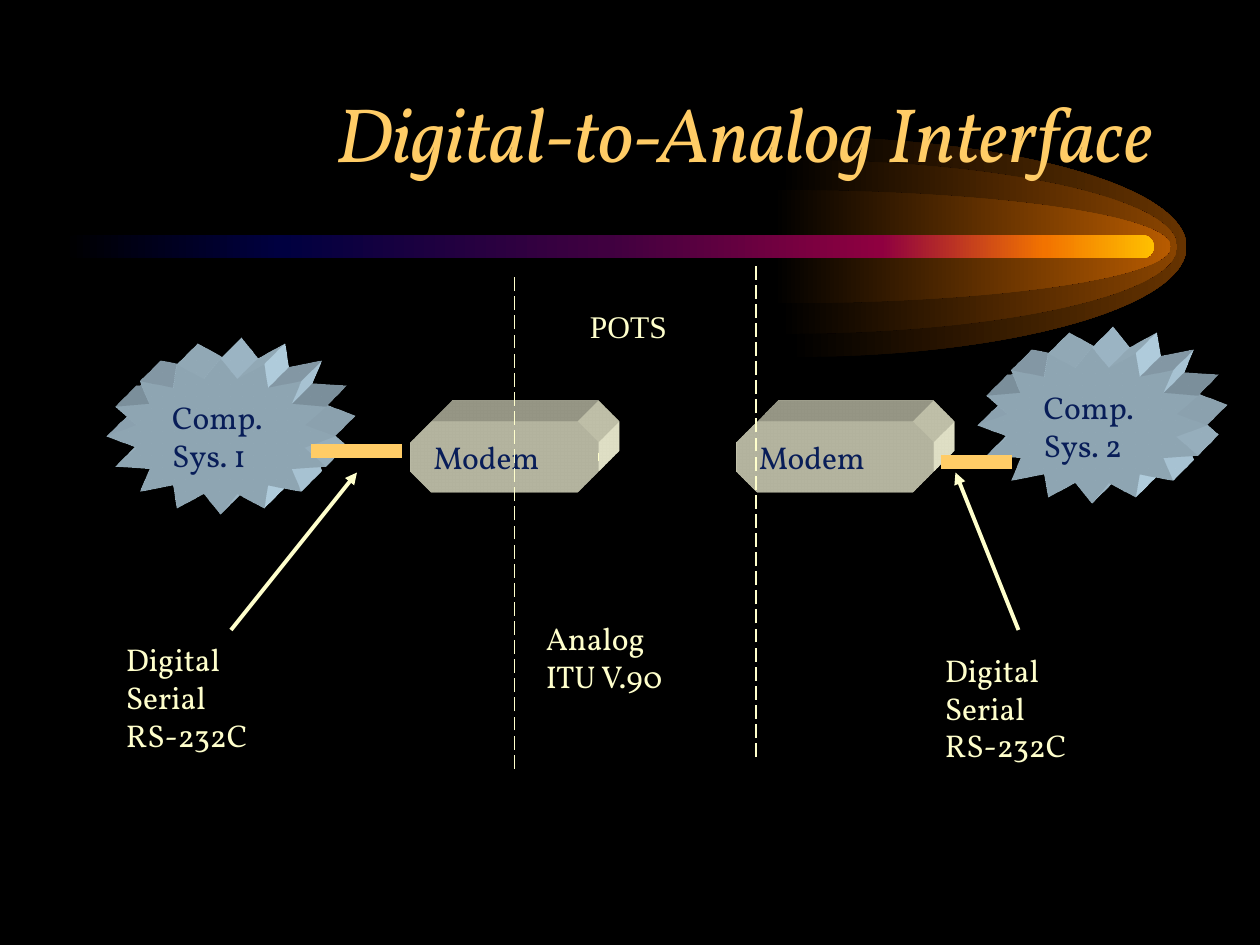
import pptx
import pptx.dml.color
import pptx.enum.dml
import pptx.enum.shapes
import pptx.enum.text
import pptx.oxml
import pptx.oxml.ns
import pptx.util

RGBColor = pptx.dml.color.RGBColor
SHAPES = pptx.enum.shapes.MSO_SHAPE
ALIGN = pptx.enum.text.PP_ALIGN
ANCHOR = pptx.enum.text.MSO_ANCHOR
NAMESPACE = pptx.oxml.ns.nsdecls("a")

BLACK = RGBColor(0x00, 0x00, 0x00)
GOLD = RGBColor(0xFF, 0xCC, 0x66)
CREAM = RGBColor(0xFF, 0xFF, 0xCC)
NAVY = RGBColor(0x08, 0x1D, 0x58)
ICE = RGBColor(0xCC, 0xEC, 0xFF)
IVORY = RGBColor(0xFF, 0xFF, 0xE1)
GLOWS = [
    (75.2, 10.5, RGBColor(0x66, 0x33, 0x00)),
    (74.3, 8.3, RGBColor(0x89, 0x44, 0x00)),
    (73.7, 5.4, RGBColor(0xB7, 0x5B, 0x00)),
]
BAR_STOPS = [
    (0, BLACK),
    (20, RGBColor(0x00, 0x00, 0x40)),
    (50, RGBColor(0x40, 0x00, 0x40)),
    (75, RGBColor(0x8F, 0x00, 0x40)),
    (90, RGBColor(0xF2, 0x73, 0x00)),
    (100, RGBColor(0xFF, 0xBF, 0x00)),
]

FONT = "Vollkorn"
SLIDE_WIDTH = pptx.util.Inches(10)
SLIDE_HEIGHT = pptx.util.Inches(7.5)
COLUMNS = 120
UNIT = SLIDE_WIDTH // COLUMNS
CURVE = 0.55
EXTRUSION = 430200


def grid(*cells):
    return [round(cell * UNIT) for cell in cells]


def style_text(frame, text, size, color, font=FONT, italic=False, align=ALIGN.LEFT):
    frame.text = text
    for paragraph in frame.paragraphs:
        paragraph.alignment = align
        for run in paragraph.runs:
            run.font.size = pptx.util.Pt(size)
            run.font.name = font
            run.font.italic = italic
            run.font.color.rgb = color


def append_xml(parent, markup):
    parent.append(pptx.oxml.parse_xml(markup))


def plain(shape, color):
    shape.shadow.inherit = False
    shape.fill.solid()
    shape.fill.fore_color.rgb = color
    shape.line.fill.background()


def fill_gradient(shape, stops):
    shape.fill.gradient()
    shape.fill.gradient_angle = 0
    stop_list = shape._element.spPr.find(".//" + pptx.oxml.ns.qn("a:gsLst"))
    for stop in list(stop_list):
        stop_list.remove(stop)
    for position, color in stops:
        append_xml(stop_list, f'<a:gs {NAMESPACE} pos="{position * 1000}">'
                              f'<a:srgbClr val="{color}"/></a:gs>')


def add_glow(slide, left, middle, width, height, color):
    corners = [grid(left, middle - height), grid(left + width, middle),
               grid(left, middle + height)]
    builder = slide.shapes.build_freeform(*corners[0], scale=1.0)
    builder.add_line_segments(corners[1:], close=True)
    shape = builder.convert_to_shape()
    curves = [
        [(CURVE * width, 0), (width, (1 - CURVE) * height), (width, height)],
        [(width, (1 + CURVE) * height), (CURVE * width, 2 * height), (0, 2 * height)],
    ]
    segments = shape._element.spPr.findall(".//" + pptx.oxml.ns.qn("a:lnTo"))
    for segment, curve in zip(segments, curves):
        points = "".join('<a:pt x="{}" y="{}"/>'.format(*grid(*point)) for point in curve)
        segment.getparent().replace(segment, pptx.oxml.parse_xml(
            f'<a:cubicBezTo {NAMESPACE}>{points}</a:cubicBezTo>'))
    plain(shape, color)
    fill_gradient(shape, [(0, BLACK), (100, color)])


def add_comet(slide):
    for left, height, color in GLOWS:
        add_glow(slide, left, 23.5, 37.8, height, color)
    bar = slide.shapes.add_shape(SHAPES.ROUNDED_RECTANGLE, *grid(6, 22.4, 103.9, 2.2))
    bar.adjustments[0] = 0.5
    plain(bar, BLACK)
    fill_gradient(bar, BAR_STOPS)


def extrude(shape, color):
    properties = shape._element.spPr
    append_xml(properties, f'<a:scene3d {NAMESPACE}>'
                           '<a:camera prst="legacyObliqueTopRight"/>'
                           '<a:lightRig rig="legacyFlat3" dir="b"/></a:scene3d>')
    append_xml(properties, f'<a:sp3d {NAMESPACE} extrusionH="{EXTRUSION}" '
                           'prstMaterial="legacyMatte"><a:extrusionClr>'
                           f'<a:srgbClr val="{color}"/></a:extrusionClr></a:sp3d>')


def add_block(slide, kind, box, adjustment, color, text):
    block = slide.shapes.add_shape(kind, *grid(*box))
    block.adjustments[0] = adjustment
    plain(block, color)
    extrude(block, color)
    block.text_frame.word_wrap = False
    block.text_frame.vertical_anchor = ANCHOR.MIDDLE
    style_text(block.text_frame, text, 18, NAVY)


def add_line(slide, start, end, color, width, dashed=False, arrow=False):
    line = slide.shapes.add_connector(
        pptx.enum.shapes.MSO_CONNECTOR.STRAIGHT, *grid(*start, *end))
    line.line.color.rgb = color
    line.line.width = pptx.util.Pt(width)
    if dashed:
        line.line.dash_style = pptx.enum.dml.MSO_LINE.LONG_DASH
    if arrow:
        append_xml(line.line._get_or_add_ln(), f'<a:tailEnd {NAMESPACE} type="triangle"/>')
    append_xml(line._element.spPr, f'<a:effectLst {NAMESPACE}/>')


def add_label(slide, box, text, font=FONT):
    label = slide.shapes.add_textbox(*grid(*box))
    label.text_frame.word_wrap = False
    style_text(label.text_frame, text, 18, CREAM, font)
    return label


def add_title(slide, text):
    title = slide.shapes.title
    title.left, title.top, title.width, title.height = grid(9, 5, 102, 15)
    title.text_frame.vertical_anchor = ANCHOR.MIDDLE
    style_text(title.text_frame, text, 44, GOLD, italic=True, align=ALIGN.RIGHT)
    slide.shapes._spTree.append(title._element)


def main():
    presentation = pptx.Presentation()
    presentation.slide_width, presentation.slide_height = SLIDE_WIDTH, SLIDE_HEIGHT
    slide = presentation.slides.add_slide(presentation.slide_layouts[5])
    slide.background.fill.solid()
    slide.background.fill.fore_color.rgb = BLACK
    add_comet(slide)
    add_title(slide, "Digital-to-Analog Interface")

    for number, left, top in ((1, 10.1, 34.1), (2, 93.1, 33.1)):
        add_block(slide, SHAPES.STAR_16_POINT, (left, top, 21.8, 14.9),
                  0.375, ICE, f"Comp.\nSys. {number}")
    for left, width in ((39.1, 17.9), (70.1, 18.8)):
        add_block(slide, SHAPES.OCTAGON, (left, 40.1, width, 6.8), 0.293, IVORY, "Modem")

    add_line(slide, (29.6, 43), (38.3, 43), GOLD, 8)
    add_line(slide, (57, 43.1), (57, 43.9), CREAM, 1)
    add_line(slide, (89.6, 44), (96.4, 44), GOLD, 8)
    for column, bottom in ((49, 73.2), (72, 72.1)):
        add_line(slide, (column, bottom), (column, bottom - 47.1), CREAM, 1, dashed=True)

    for left, top in ((10.8, 60.4), (88.8, 61.4)):
        add_label(slide, (left, top, 17.3, 15.6), "Digital\nSerial\nRS-232C")
    add_label(slide, (50.8, 58.4, 18.2, 10.8), "Analog\nITU V.90")
    pots = add_label(slide, (55, 28, 12.2, 6), "POTS", "Times New Roman")
    pots.text_frame.vertical_anchor = ANCHOR.MIDDLE

    for start, end in ((22, 34), (97, 91)):
        add_line(slide, (start, 60), (end, 45), CREAM, 2.25, arrow=True)
    presentation.save("out.pptx")


if __name__ == "__main__":
    main()
